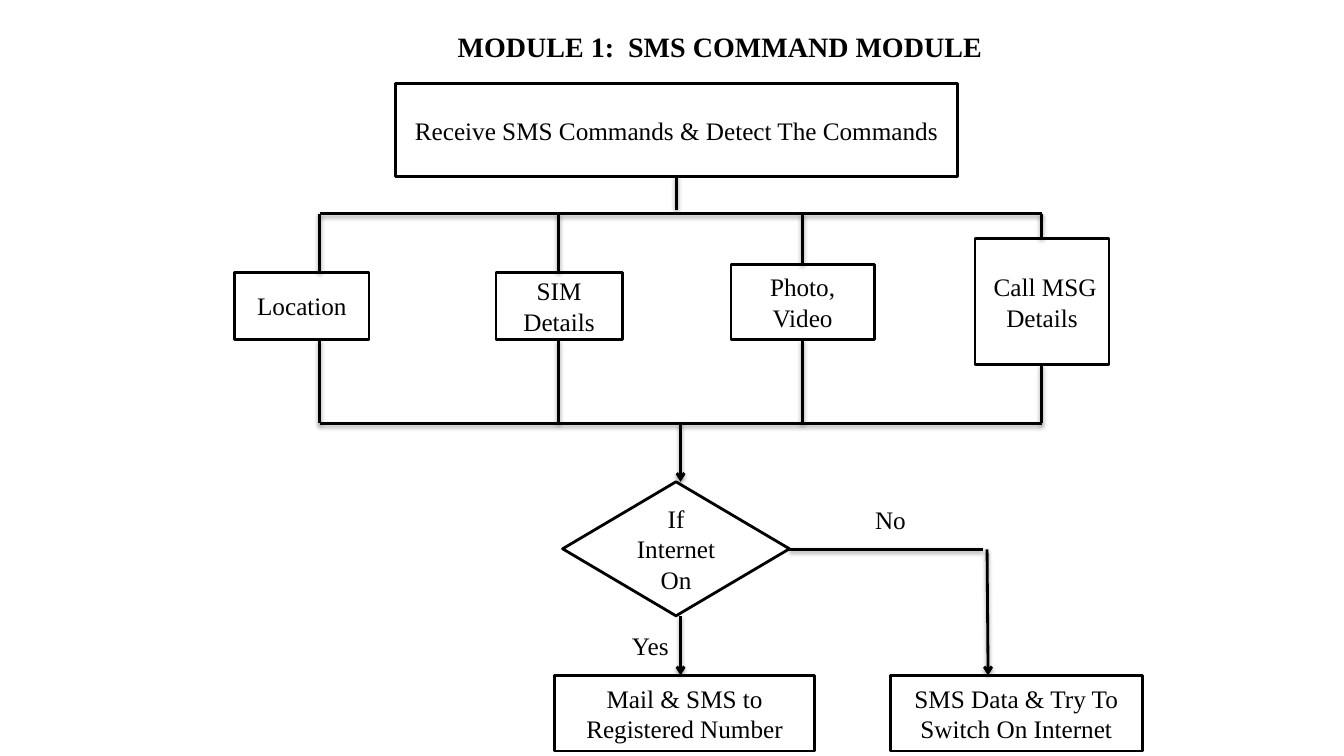
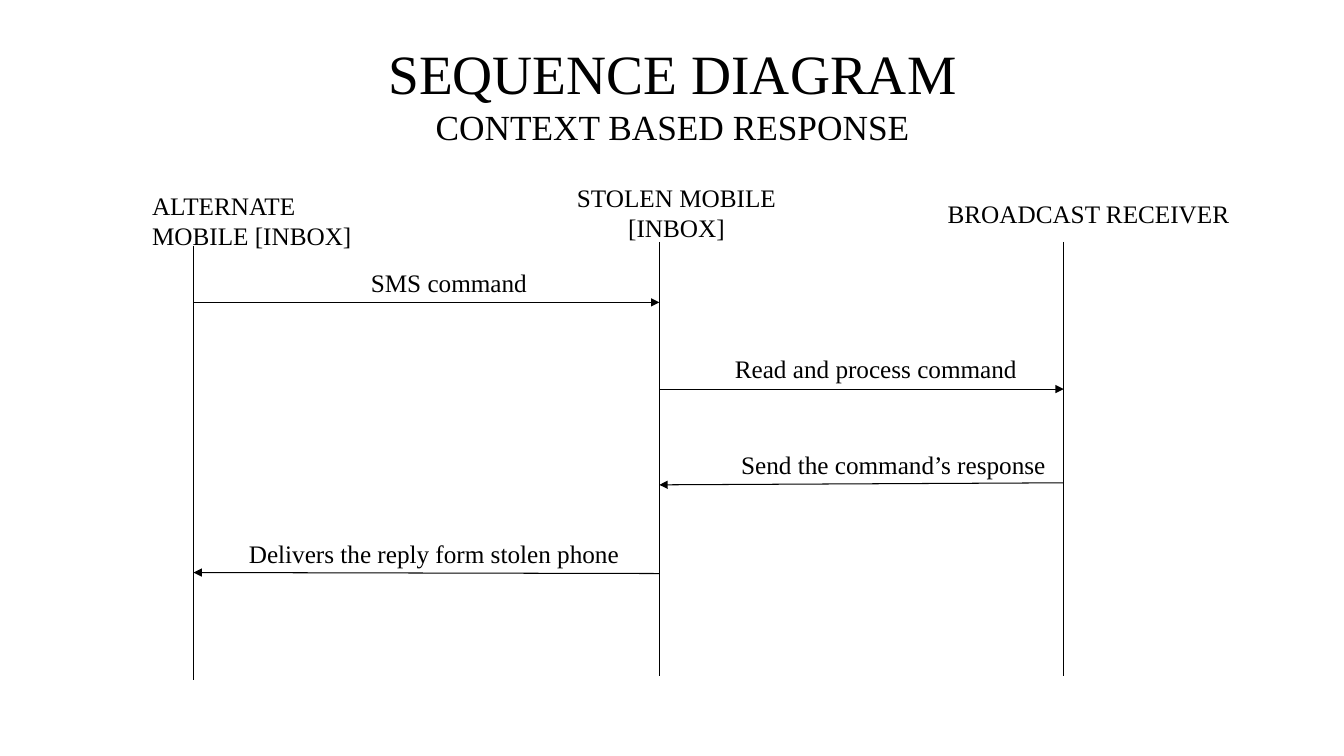
from dataclasses import dataclass

from lxml.etree import SubElement
from pptx import Presentation
from pptx.dml.color import RGBColor
from pptx.enum.shapes import MSO_CONNECTOR, MSO_SHAPE as Preset
from pptx.enum.text import MSO_ANCHOR as Anchor, MSO_AUTO_SIZE as AutoSize, PP_ALIGN as Align
from pptx.oxml.ns import qn
from pptx.presentation import Presentation as Deck
from pptx.slide import Slide
from pptx.text.text import TextFrame
from pptx.util import Inches, Pt

INK = RGBColor(0x00, 0x00, 0x00)
PAPER = RGBColor(0xFF, 0xFF, 0xFF)
FONT = "Times New Roman"
BODY_SIZE = 18
FLOW_WEIGHT = 2
SEQUENCE_WEIGHT = 0.75
TITLE_ONLY = 5


@dataclass(frozen=True)
class Node:
    text: str
    left: float
    top: float
    width: float
    height: float
    preset: Preset = Preset.FLOWCHART_PROCESS

    @property
    def bottom(self) -> float:
        return self.top + self.height


@dataclass(frozen=True)
class Branch:
    stem: float
    node: Node


@dataclass(frozen=True)
class Label:
    text: str
    left: float
    top: float
    width: float
    height: float = 0.4
    align: Align = Align.LEFT


@dataclass(frozen=True)
class Link:
    x1: float
    y1: float
    x2: float
    y2: float
    arrow: str = ""


@dataclass(frozen=True)
class Lifeline:
    x: float
    top: float
    actor: Label


@dataclass(frozen=True)
class Message:
    sender: int
    receiver: int
    start_y: float
    end_y: float
    label: Label


RECEIVE = Node("Receive SMS Commands & Detect The Commands", 3.92, 0.83, 5.58, 0.92)
DECISION = Node("If Internet On", 5.58, 4.78, 2.25, 1.33, Preset.FLOWCHART_DECISION)
MAIL = Node("Mail & SMS to Registered Number", 5.5, 6.7, 2.58, 0.75)
RETRY = Node("SMS Data & Try To Switch On Internet", 8.83, 6.7, 2.5, 0.75)
BRANCHES = (
    Branch(3.17, Node("Location", 2.33, 2.7, 1.33, 0.67)),
    Branch(5.54, Node("SIM Details", 4.92, 2.7, 1.25, 0.67)),
    Branch(7.96, Node("Photo,\nVideo", 7.25, 2.62, 1.42, 0.75)),
    Branch(10.33, Node(" Call MSG Details", 9.67, 2.37, 1.33, 1.25)),
)
SPLIT_Y, JOIN_Y = 2.12, 4.2
ANSWERS = (Label("No", 8.58, 4.95, 0.51), Label("Yes", 6.17, 6.2, 0.57))

LIFELINE_LENGTH = 4.31
LIFELINES = (
    Lifeline(1.92, 2.44, Label("ALTERNATE\nMOBILE [INBOX]", 1.41, 1.84, 2.2, 0.71)),
    Lifeline(6.54, 2.4, Label("STOLEN MOBILE\n[INBOX]", 5.61, 1.76, 2.2, 0.71, Align.CENTER)),
    Lifeline(10.55, 2.4, Label("BROADCAST RECEIVER", 9.3, 1.92, 3.02)),
)
MESSAGES = (
    Message(0, 1, 3, 3, Label("SMS command", 3.58, 2.6, 1.77)),
    Message(1, 2, 3.86, 3.86, Label("Read and process command", 7.19, 3.46, 3.08)),
    Message(2, 1, 4.79, 4.81, Label(" Send the command’s response", 7.19, 4.41, 3.39)),
    Message(1, 0, 5.69, 5.68, Label("Delivers the reply form stolen phone", 2.37, 5.29, 3.95)),
)


def write(frame: TextFrame, text: str, sizes: tuple[float, ...] = (BODY_SIZE,),
          align: Align = Align.CENTER, bold: bool = False) -> None:
    frame.text = text
    for index, paragraph in enumerate(frame.paragraphs):
        paragraph.alignment = align
        for run in paragraph.runs:
            run.font.name = FONT
            run.font.size = Pt(sizes[min(index, len(sizes) - 1)])
            run.font.bold = bold
            run.font.color.rgb = INK


def add_titled_slide(deck: Deck, text: str, box: tuple[float, float, float, float],
                     sizes: tuple[float, ...], bold: bool = False) -> Slide:
    slide = deck.slides.add_slide(deck.slide_layouts[TITLE_ONLY])
    title = slide.shapes.title
    title.left, title.top, title.width, title.height = map(Inches, box)
    frame = title.text_frame
    frame.auto_size = AutoSize.NONE
    frame.vertical_anchor = Anchor.MIDDLE
    write(frame, text, sizes, bold=bold)
    return slide


def add_node(slide: Slide, node: Node) -> None:
    box = slide.shapes.add_shape(node.preset, *map(Inches, (node.left, node.top, node.width, node.height)))
    box.shadow.inherit = False
    box.fill.solid()
    box.fill.fore_color.rgb = PAPER
    box.line.color.rgb = INK
    box.line.width = Pt(FLOW_WEIGHT)
    box.text_frame.vertical_anchor = Anchor.MIDDLE
    write(box.text_frame, node.text)


def add_label(slide: Slide, label: Label) -> None:
    box = slide.shapes.add_textbox(*map(Inches, (label.left, label.top, label.width, label.height)))
    box.text_frame.word_wrap = False
    box.text_frame.auto_size = AutoSize.SHAPE_TO_FIT_TEXT
    write(box.text_frame, label.text, align=label.align)


def add_link(slide: Slide, link: Link, weight: float, shadow: bool = False) -> None:
    ends = map(Inches, (link.x1, link.y1, link.x2, link.y2))
    connector = slide.shapes.add_connector(MSO_CONNECTOR.STRAIGHT, *ends)
    connector.line.color.rgb = INK
    connector.line.width = Pt(weight)
    if link.arrow:
        SubElement(connector.line._get_or_add_ln(), qn("a:tailEnd"), type=link.arrow)
    effects = SubElement(connector._element.spPr, qn("a:effectLst"))
    if shadow:
        outer = SubElement(effects, qn("a:outerShdw"), blurRad=str(Pt(3.1)), dist=str(Pt(1.6)),
                           dir="5400000", rotWithShape="0")
        color = SubElement(outer, qn("a:srgbClr"), val=str(INK))
        SubElement(color, qn("a:alpha"), val="38000")


def build_command_flow(deck: Deck) -> None:
    slide = add_titled_slide(deck, "MODULE 1:  SMS COMMAND MODULE", (3.14, 0.24, 8, 0.44), (20,), True)
    first, last = BRANCHES[0].stem, BRANCHES[-1].stem
    links = [
        Link(6.71, RECEIVE.bottom, 6.71, 2.08),
        Link(first, SPLIT_Y, last, SPLIT_Y),
        Link(first, JOIN_Y, last, JOIN_Y),
        Link(6.75, JOIN_Y, 6.75, DECISION.top, "arrow"),
        Link(6.75, DECISION.bottom, 6.75, MAIL.top, "arrow"),
        Link(7.83, 5.45, 9.75, 5.45),
        Link(9.79, 5.45, 9.8, RETRY.top, "arrow"),
    ]
    for branch in BRANCHES:
        links.append(Link(branch.stem, SPLIT_Y, branch.stem, branch.node.top))
        links.append(Link(branch.stem, branch.node.bottom, branch.stem, JOIN_Y))
    for node in (RECEIVE, *(branch.node for branch in BRANCHES), DECISION, MAIL, RETRY):
        add_node(slide, node)
    for link in links:
        add_link(slide, link, FLOW_WEIGHT, shadow=True)
    for answer in ANSWERS:
        add_label(slide, answer)


def build_sequence(deck: Deck) -> None:
    slide = add_titled_slide(deck, "SEQUENCE DIAGRAM\nCONTEXT BASED RESPONSE", (0.67, 0.3, 12, 1.25), (39.6, 25.2))
    for lifeline in LIFELINES:
        bottom = lifeline.top + LIFELINE_LENGTH
        add_link(slide, Link(lifeline.x, lifeline.top, lifeline.x, bottom), SEQUENCE_WEIGHT)
        add_label(slide, lifeline.actor)
    for message in MESSAGES:
        start, end = LIFELINES[message.sender].x, LIFELINES[message.receiver].x
        add_link(slide, Link(start, message.start_y, end, message.end_y, "triangle"), SEQUENCE_WEIGHT)
        add_label(slide, message.label)


def main() -> None:
    deck = Presentation()
    deck.slide_width, deck.slide_height = Inches(13.33), Inches(7.5)
    build_command_flow(deck)
    build_sequence(deck)
    deck.save("out.pptx")


if __name__ == "__main__":
    main()
